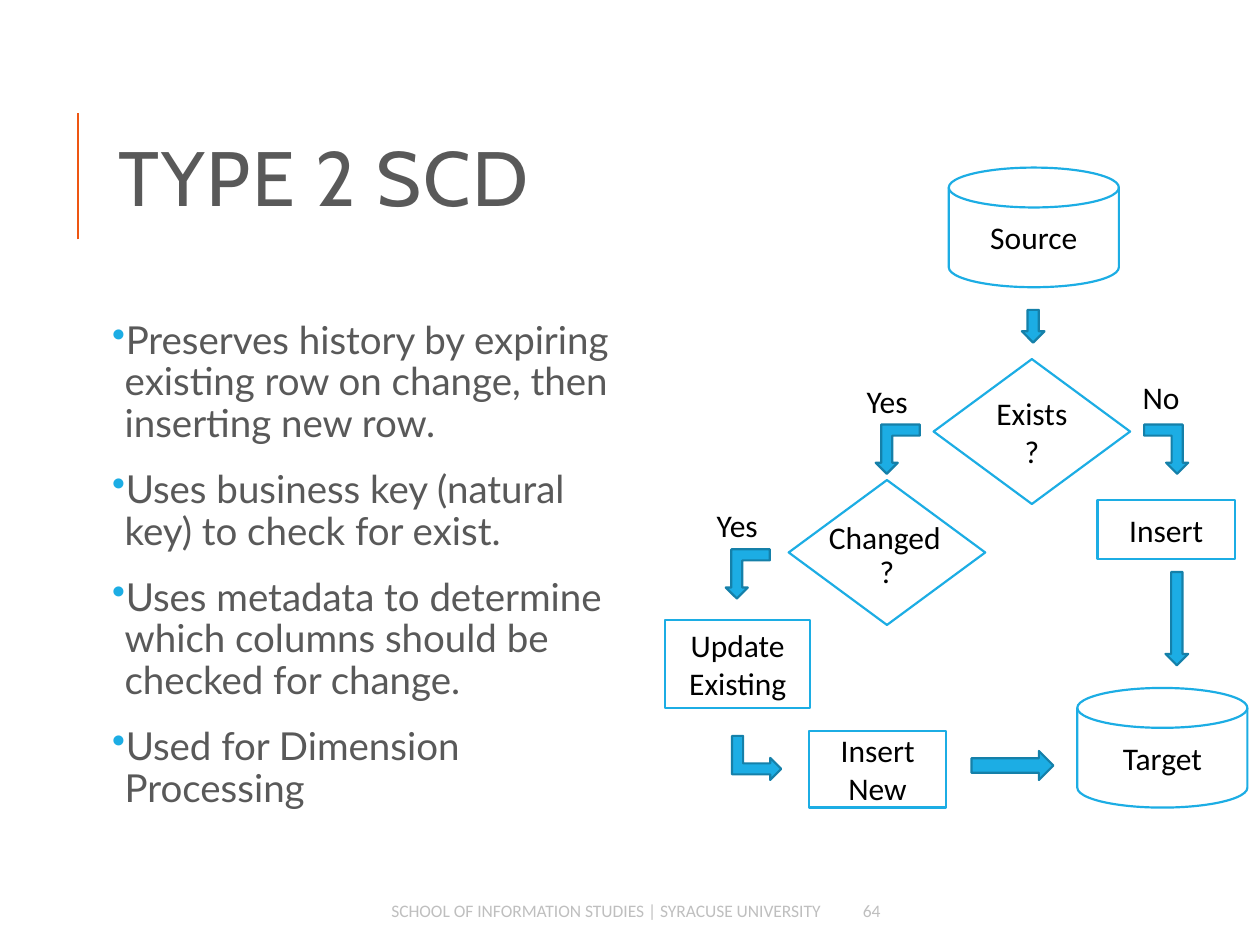
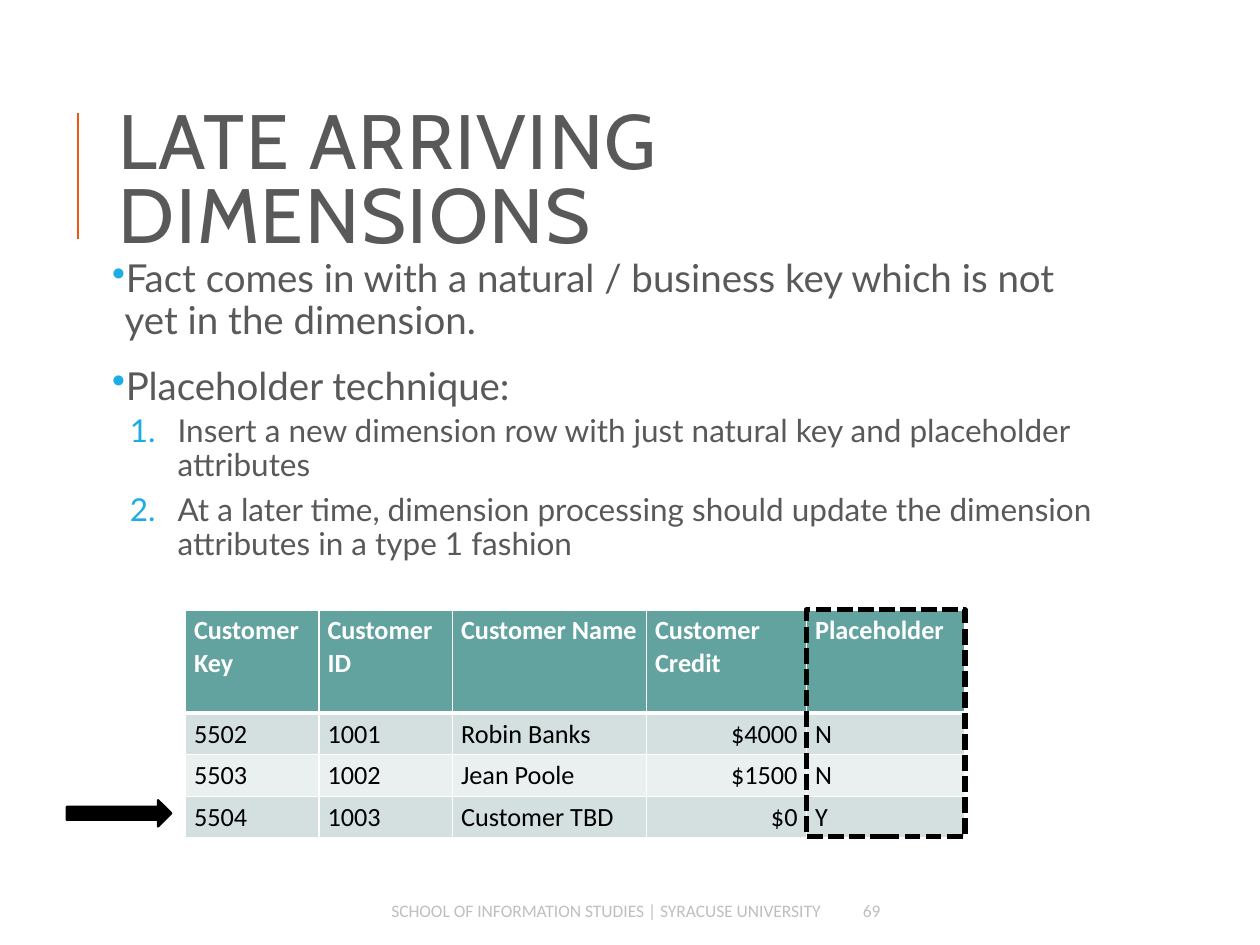
import lxml.etree
import pptx
import pptx.dml.color
import pptx.enum.dml
import pptx.enum.shapes
import pptx.enum.text
import pptx.oxml.ns
import pptx.util

EMU_PER_PX = 9144  # 100 px to the inch
ORANGE, BLUE, DARK_BLUE = "EE5612", "1CADE4", "1580A9"
WHITE, BLACK, GREY, PALE_GREY = "FFFFFF", "000000", "595959", "BFBFBF"
TEAL, BANDS = "62A39F", ("D3E0DF", "EAF0F0")
FOOTER = "SCHOOL OF INFORMATION STUDIES | SYRACUSE UNIVERSITY"

Preset = pptx.enum.shapes.MSO_SHAPE
Align = pptx.enum.text.PP_ALIGN
Anchor = pptx.enum.text.MSO_ANCHOR
AutoSize = pptx.enum.text.MSO_AUTO_SIZE


def px(length):
    return pptx.util.Emu(length * EMU_PER_PX)


def rgb(color):
    return pptx.dml.color.RGBColor.from_string(color)


def add_xml(parent, tag, **attributes):
    return lxml.etree.SubElement(parent, pptx.oxml.ns.qn(tag), attributes)


def set_margins(target, left, top, right, bottom):
    target.margin_left, target.margin_top = px(left), px(top)
    target.margin_right, target.margin_bottom = px(right), px(bottom)


class SlideBuilder:
    def __init__(self, deck):
        self.deck = deck
        self.page = None

    def format_text(self, frame, size, color=BLACK, font="Calibri", align=None, bold=None):
        for para in frame.paragraphs:
            para.alignment = align
            for span in para.runs:
                span.font.size = pptx.util.Pt(size)
                span.font.name = font
                span.font.bold = bold
                span.font.color.rgb = rgb(color)

    def start(self, title, number):
        """Add a slide with its side bar, title and footer."""
        self.page = self.deck.slides.add_slide(self.deck.slide_layouts[5])
        self.side_bar()
        self.title(title)
        self.footer(189, 472, FOOTER, Align.RIGHT)
        self.footer(675, 91, str(number), Align.LEFT)

    def side_bar(self):
        bar = self.page.shapes.add_connector(
            pptx.enum.shapes.MSO_CONNECTOR.STRAIGHT, px(62), px(190), px(62), px(90))
        bar.line.color.rgb = rgb(ORANGE)
        bar.line.width = pptx.util.Pt(1.5)
        add_xml(bar._element.spPr, "a:effectLst")

    def title(self, text):
        box = self.page.shapes.title
        box.left, box.top, box.width, box.height = map(px, (84, 64, 797, 164))
        frame = box.text_frame
        frame.text = text
        frame.auto_size = AutoSize.NONE
        frame.vertical_anchor = Anchor.MIDDLE
        frame.paragraphs[0].line_spacing = 0.8
        self.format_text(frame, 44, GREY, "Cabin", Align.LEFT)
        frame.paragraphs[0].runs[0].font._element.set("spc", "100")

    def text_box(self, left, top, width, height, wrap=True):
        box = self.page.shapes.add_textbox(*map(px, (left, top, width, height)))
        box.text_frame.word_wrap = wrap
        return box.text_frame

    def footer(self, left, width, text, align):
        frame = self.text_box(left, 708, width, 30)
        frame.vertical_anchor = Anchor.MIDDLE
        frame.text = text
        self.format_text(frame, 10, PALE_GREY, align=align)

    def label(self, left, top, width, text):
        frame = self.text_box(left, top, width, 40, wrap=False)
        frame.auto_size = AutoSize.SHAPE_TO_FIT_TEXT
        frame.text = text
        self.format_text(frame, 18)

    def body(self, top, width, height, bullets, steps=()):
        """Add bulleted paragraphs followed by numbered steps."""
        frame = self.text_box(84, top, width, height)
        set_margins(frame, 5, 5, 5, 5)
        frame.text = "\n".join([*bullets, *steps])
        self.format_text(frame, 22, GREY, "Lato")
        for index, para in enumerate(frame.paragraphs):
            is_step = index >= len(bullets)
            indent, hanging = (52, 38) if is_step else (10, 10)
            before, after = (2, 4) if is_step else (12, 2)
            properties = para._p.get_or_add_pPr()
            properties.set("marL", str(px(indent)))
            properties.set("indent", str(-px(hanging)))
            add_xml(add_xml(properties, "a:buClr"), "a:srgbClr", val=BLUE)
            if is_step:
                add_xml(properties, "a:buAutoNum", type="arabicPeriod")
                para.level = 1
                para.runs[0].font.size = pptx.util.Pt(18)
            else:
                add_xml(properties, "a:buChar", char="•")
            para.line_spacing = 0.9
            para.space_before = pptx.util.Pt(before if index else 0)
            para.space_after = pptx.util.Pt(after)

    def shape(self, preset, left, top, width, height, fill, line, weight=1.25):
        shape = self.page.shapes.add_shape(preset, *map(px, (left, top, width, height)))
        shape.shadow.inherit = False
        if fill:
            shape.fill.solid()
            shape.fill.fore_color.rgb = rgb(fill)
        else:
            shape.fill.background()
        shape.line.color.rgb = rgb(line)
        shape.line.width = pptx.util.Pt(weight)
        return shape

    def node(self, preset, left, top, width, height, text):
        """Add a white flowchart symbol with centred text."""
        frame = self.shape(preset, left, top, width, height, WHITE, BLUE).text_frame
        frame.word_wrap = True
        frame.vertical_anchor = Anchor.MIDDLE
        frame.text = text
        self.format_text(frame, 18, align=Align.CENTER)
        return frame

    def disk(self, left, top, text):
        self.node(Preset.FLOWCHART_MAGNETIC_DISK, left, top, 135, 95, text)

    def decision(self, left, top, text):
        return self.node(Preset.FLOWCHART_DECISION, left, top, 156, 115, text)

    def block_arrow(self, left, top, width, height, rotation=0):
        arrow = self.shape(Preset.DOWN_ARROW, left, top, width, height, BLUE, DARK_BLUE)
        arrow.rotation = rotation

    def bent_arrow(self, left, top, rotation=180, flip=False):
        arrow = self.shape(Preset.BENT_UP_ARROW, left, top, 35, 39, BLUE, DARK_BLUE)
        arrow.rotation = rotation
        if flip:
            arrow._element.spPr.find(pptx.oxml.ns.qn("a:xfrm")).set("flipH", "1")

    def cell_borders(self, cell, top, bottom):
        properties = cell._tc.get_or_add_tcPr()
        weights = {"a:lnL": 1, "a:lnR": 1, "a:lnT": top, "a:lnB": bottom}
        for position, (tag, weight) in enumerate(weights.items()):
            border = add_xml(properties, tag, w=str(pptx.util.Pt(weight)))
            add_xml(add_xml(border, "a:solidFill"), "a:srgbClr", val=WHITE)
            properties.insert(position, border)

    def table(self, left, top, widths, heights, rows, right_column):
        """Add a banded table whose first row is the header."""
        table = self.page.shapes.add_table(
            len(rows), len(widths), px(left), px(top),
            px(sum(widths)), px(sum(heights))).table
        for column, width in zip(table.columns, widths):
            column.width = px(width)
        for row, height in zip(table.rows, heights):
            row.height = px(height)
        for r, values in enumerate(rows):
            for c, value in enumerate(values):
                cell = table.cell(r, c)
                set_margins(cell, 7, 4, 7, 4)
                cell.text = value
                is_header = r == 0
                align = Align.RIGHT if c == right_column and not is_header else Align.LEFT
                self.format_text(cell.text_frame, 15, WHITE if is_header else BLACK,
                                 align=align, bold=is_header)
                cell.fill.solid()
                cell.fill.fore_color.rgb = rgb(TEAL if is_header else BANDS[(r - 1) % 2])
                self.cell_borders(cell, 3 if r == 1 else 1, 3 if is_header else 1)


def build_type_2(builder):
    builder.start("TYPE 2 SCD", 64)
    builder.body(250, 407, 440, [
        "Preserves history by expiring existing row on change, then inserting new row.",
        "Uses business key (natural key) to check for exist.",
        "Uses metadata to determine which columns should be checked for change.",
        "Used for Dimension Processing",
    ])
    builder.disk(753, 133, "Source")
    builder.disk(855, 546, "Target")
    builder.node(Preset.RECTANGLE, 528, 492, 115, 70, "Update\vExisting")
    builder.node(Preset.RECTANGLE, 871, 397, 109, 47, "Insert")
    builder.node(Preset.RECTANGLE, 642, 580, 109, 61, "Insert\vNew")
    builder.decision(741, 285, "Exists?")
    question_mark = builder.decision(626, 381, "?")
    set_margins(question_mark, 10, 30, 10, 0)  # leaves room for the label above
    builder.label(648, 406, 111, "Changed")

    builder.label(678, 298, 53, "Yes")
    builder.label(897, 295, 50, "No")
    builder.label(559, 397, 53, "Yes")
    builder.bent_arrow(695, 337)
    builder.bent_arrow(908, 337, flip=True)
    builder.bent_arrow(576, 436)
    builder.bent_arrow(583, 582, rotation=90)
    builder.block_arrow(811, 246, 18, 26)
    builder.block_arrow(925, 454, 18, 74)
    builder.block_arrow(792, 575, 23, 65, rotation=270)


def build_late_arriving(builder):
    builder.start("LATE ARRIVING DIMENSIONS", 69)
    builder.body(201, 797, 489, [
        "Fact comes in with a natural / business key which is not yet in the dimension.",
        "Placeholder technique:",
    ], [
        "Insert a new dimension row with just natural key and placeholder attributes",
        "At a later time, dimension processing should update the dimension "
        "attributes in a type 1 fashion",
    ])
    left, top = 147, 484
    widths, heights = [106, 106, 154, 127, 126], [82, 33, 33, 33]
    builder.table(left, top, widths, heights, [
        ["Customer Key", "Customer ID", "Customer Name", "Customer\vCredit", "Placeholder"],
        ["5502", "1001", "Robin Banks", "$4000", "N"],
        ["5503", "1002", "Jean Poole", "$1500", "N"],
        ["5504", "1003", "Customer TBD", "$0", "Y"],
    ], right_column=3)
    highlight = builder.shape(Preset.RECTANGLE, left + sum(widths[:-1]), top,
                              widths[-1], 180, None, BLACK, 3)
    highlight.line.dash_style = pptx.enum.dml.MSO_LINE.SQUARE_DOT
    builder.shape(Preset.RIGHT_ARROW, 53, 635, 83, 21, BLACK, BLACK)


def main():
    deck = pptx.Presentation()
    deck.slide_width, deck.slide_height = px(1000), px(750)
    builder = SlideBuilder(deck)
    build_type_2(builder)
    build_late_arriving(builder)
    deck.save("out.pptx")


if __name__ == "__main__":
    main()
